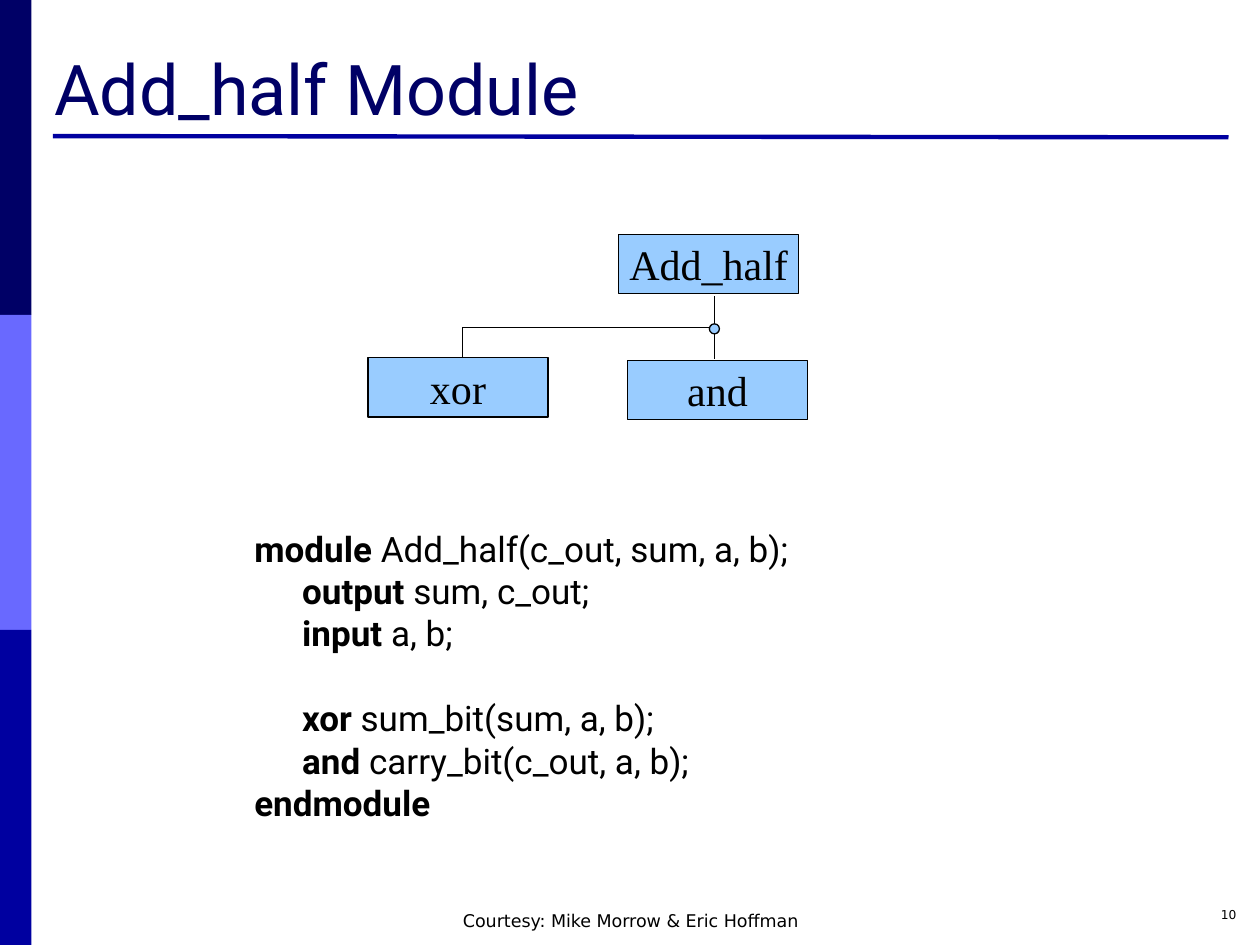
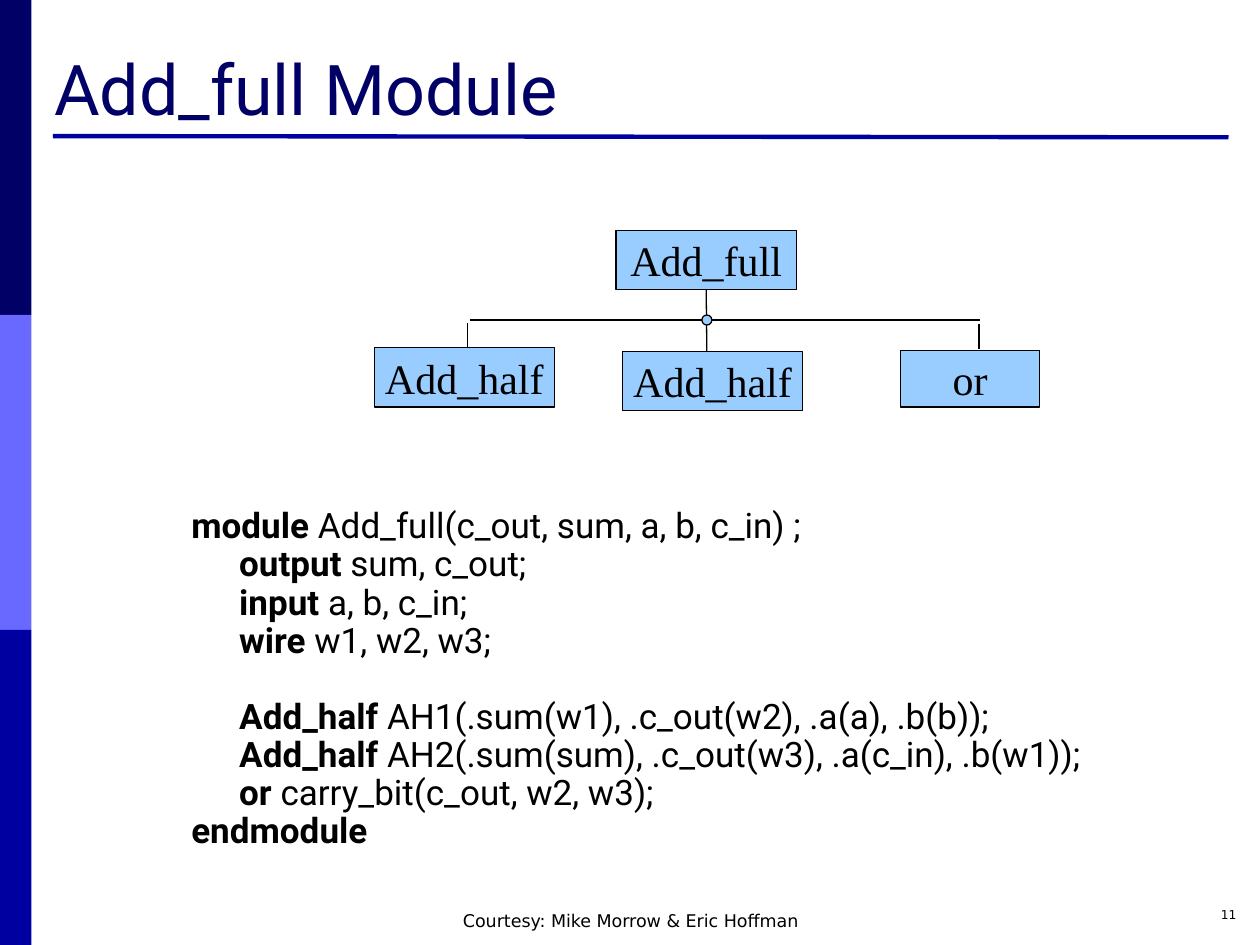
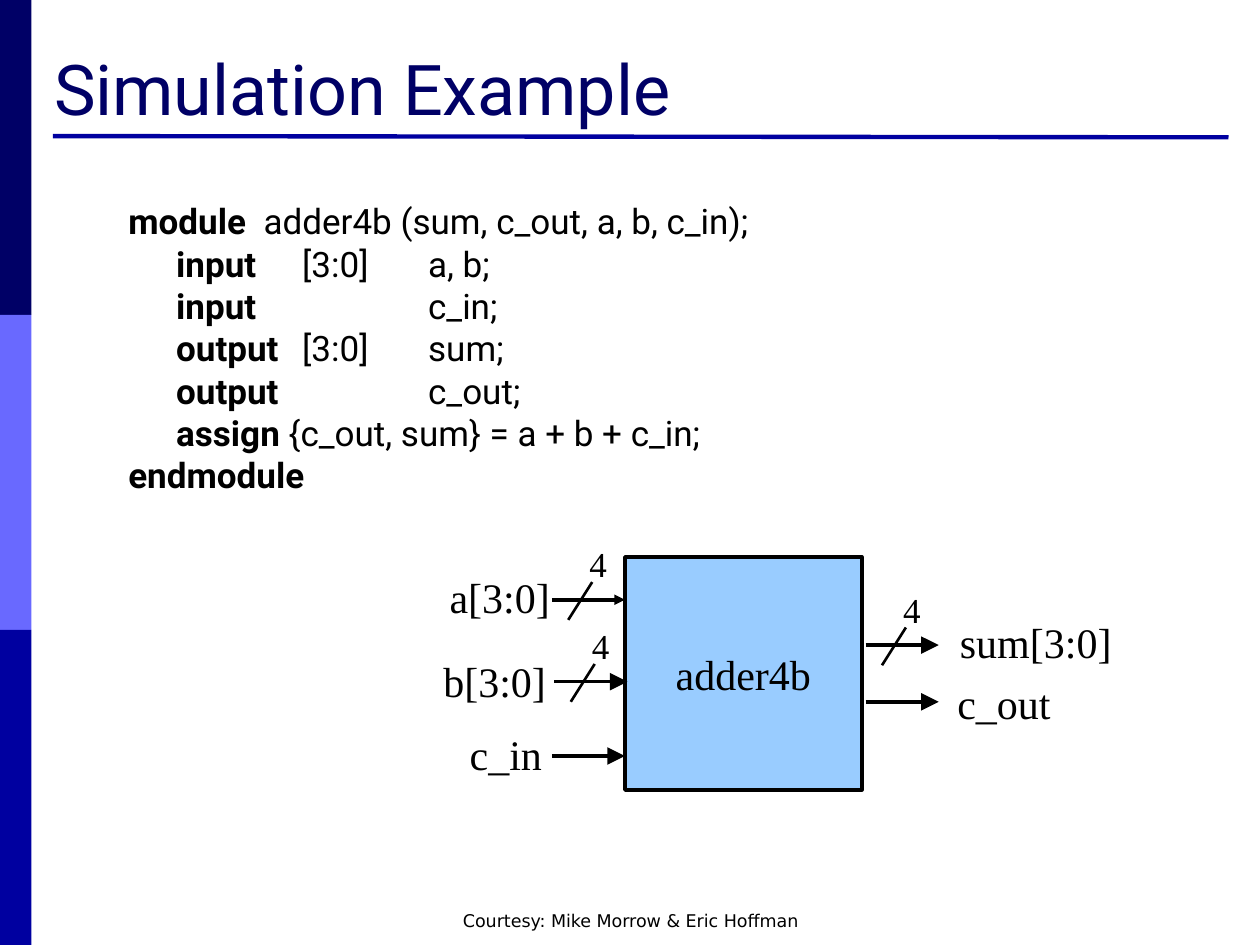
from lxml import etree
from pptx import Presentation
from pptx.dml.color import RGBColor
from pptx.enum import shapes, text
from pptx.oxml import ns
from pptx.util import Inches, Pt

COLORS = {"navy": "000066", "violet": "6969FF", "blue": "0000A0",
          "block": "99CCFF", "ink": "000000"}
SANS, SERIF, SMALL = "Roboto", "Times New Roman", "DejaVu Sans"
LEFT, CENTER, RIGHT = (text.PP_ALIGN.LEFT, text.PP_ALIGN.CENTER, text.PP_ALIGN.RIGHT)
BLOCK_SIZE = (1.43, 0.47)
DOT = 0.08
CODE_SIZE, CODE_GAP, CODE_INDENT = 20, 5, 0.38


def color(name):
    return RGBColor.from_string(COLORS[name])


def style_font(font, face, size, ink="ink", bold=False):
    font.name, font.size, font.bold = face, Pt(size), bold
    font.color.rgb = color(ink)


def fill_text(frame, words, face, size, align=LEFT, ink="ink"):
    frame.text = words
    para = frame.paragraphs[0]
    para.alignment = align
    style_font(para.runs[0].font, face, size, ink)
    return para


def add_figure(page, kind, left, top, width, height, fill, outline=None):
    figure = page.shapes.add_shape(kind, Inches(left), Inches(top),
                                   Inches(width), Inches(height))
    figure.shadow.inherit = False
    figure.fill.solid()
    figure.fill.fore_color.rgb = color(fill)
    if outline:
        figure.line.color.rgb = color("ink")
        figure.line.width = Pt(outline)
    else:
        figure.line.fill.background()
    return figure


def add_block(page, label, left, top, width, height, outline=0.75):
    block = add_figure(page, shapes.MSO_SHAPE.RECTANGLE, left, top, width, height,
                       "block", outline)
    block.text_frame.word_wrap = False
    block.text_frame.vertical_anchor = text.MSO_ANCHOR.MIDDLE
    fill_text(block.text_frame, label, SERIF, 24, CENTER)
    return block


def add_line(page, start, end, width=0.75, ink="ink", head=None):
    line = page.shapes.add_connector(shapes.MSO_CONNECTOR.STRAIGHT,
                                     *(Inches(value) for value in (*start, *end)))
    line.line.color.rgb = color(ink)
    line.line.width = Pt(width)
    if head:
        etree.SubElement(line.line._get_or_add_ln(), ns.qn("a:tailEnd"),
                         type="triangle", w=head, len=head)
    etree.SubElement(line.element.spPr, ns.qn("a:effectLst"))
    return line


def add_text_box(page, left, top, width, height):
    box = page.shapes.add_textbox(Inches(left), Inches(top), Inches(width), Inches(height))
    box.text_frame.word_wrap = True
    return box


def add_label(page, words, left, top, width, height, size=24):
    frame = add_text_box(page, left, top, width, height).text_frame
    frame.margin_right = 0
    fill_text(frame, words, SERIF, size)


def add_page(deck, heading, number=None):
    page = deck.slides.add_slide(deck.slide_layouts[5])
    for row, band in enumerate(("navy", "violet", "blue")):
        add_figure(page, shapes.MSO_SHAPE.RECTANGLE, 0, row * 2.5, 0.25, 2.5, band)
    add_line(page, (0.42, 1.08), (9.75, 1.09), 2.5, "blue")
    title = page.shapes.title
    title.left, title.top = Inches(0.33), Inches(0)
    title.width, title.height = Inches(9.67), Inches(1.08)
    title.text_frame.vertical_anchor = text.MSO_ANCHOR.BOTTOM
    fill_text(title.text_frame, heading, SANS, 40, LEFT, "navy")
    credit = add_text_box(page, 3.42, 7.17, 3.17, 0.25)
    fill_text(credit.text_frame, "Courtesy: Mike Morrow & Eric Hoffman", SMALL, 10, CENTER)
    if number:
        corner = add_text_box(page, 7.58, 7.17, 2.33, 0.25)
        fill_text(corner.text_frame, number, SMALL, 7, RIGHT).line_spacing = 0.8
    return page


def add_code(page, left, top, width, height, sections, spacing):
    frame = add_text_box(page, left, top, width, height).text_frame
    blank_line = CODE_GAP + CODE_SIZE * 1.2 * spacing
    para = None
    for section in sections:
        for row, (keyword, rest) in enumerate(section):
            first = para is None
            para = frame.paragraphs[0] if first else frame.add_paragraph()
            props = para._p.get_or_add_pPr()
            props.set("marL", str(Inches(CODE_INDENT)))
            props.set("indent", str(-Inches(CODE_INDENT)))
            props.set("defTabSz", str(Inches(1)))
            stops = etree.SubElement(props, ns.qn("a:tabLst"))
            for inch in range(8):
                etree.SubElement(stops, ns.qn("a:tab"), pos=str(Inches(inch)), algn="l")
            para.line_spacing = spacing
            if not first:
                para.space_before = Pt(CODE_GAP + (0 if row else blank_line))
            for words, bold in ((keyword, True), (rest, False)):
                if words:
                    span = para.add_run()
                    span.text = words
                    style_font(span.font, SANS, CODE_SIZE, bold=bold)


def add_tree(page, left, top, blocks, wires, joint, joined=False):
    def place(point):
        return left + point[0], top + point[1]

    boxes = [add_block(page, label, *place(corner), *size) for label, corner, size in blocks]
    lines = [add_line(page, place(start), place(end)) for start, end in wires]
    if joined:
        lines[0].begin_connect(boxes[0], 2)
    x, y = place(joint)
    add_figure(page, shapes.MSO_SHAPE.OVAL, x - DOT / 2, y - DOT / 2, DOT, DOT, "block", 0.75)


def add_port(page, left, top, label, label_offset, label_width, head="lg", bus=False):
    add_line(page, (left, top), (left + 0.58, top), 2, head=head)
    add_label(page, label, left + label_offset[0], top + label_offset[1], label_width, 0.5)
    if bus:
        add_line(page, (left + 0.32, top - 0.14), (left + 0.13, top + 0.16), 1.5)
        add_label(page, "4", left + 0.2, top - 0.5, 0.34, 0.44, 20)


def add_adder(page, left, top):
    add_block(page, "adder4b", left, top, 1.88, 1.85, 2)
    ports = [
        (-0.58, 0.34, "a[3:0]", (-0.91, -0.27), 0.99, "med", True),
        (-0.56, 0.99, "b[3:0]", (-0.98, -0.26), 1.01, "lg", True),
        (-0.58, 1.58, "c_in", (-0.75, -0.27), 0.77, "lg", False),
        (1.91, 0.7, "sum[3:0]", (0.65, -0.28), 1.4, "lg", True),
        (1.91, 1.15, "c_out", (0.63, -0.24), 0.94, "lg", False),
    ]
    for x, y, *details in ports:
        add_port(page, left + x, top + y, *details)


def half_adder_page(deck):
    page = add_page(deck, "Add_half Module", "10")
    add_code(page, 1.92, 4.2, 5.5, 2.8, [
        [("module", " Add_half(c_out, sum, a, b);"),
         ("\toutput", " sum, c_out;"),
         ("\tinput", " a, b;")],
        [("\txor", " sum_bit(sum, a, b);"),
         ("\tand", " carry_bit(c_out, a, b);"),
         ("endmodule", "")],
    ], 0.8)
    add_tree(page, 2.92, 1.86, [
        ("Add_half", (1.99, 0), BLOCK_SIZE),
        ("xor", (0, 0.98), BLOCK_SIZE),
        ("and", (2.06, 1), BLOCK_SIZE),
    ], [
        ((2.75, 0.49), (2.75, 0.99)),
        ((0.75, 0.98), (0.75, 0.74)),
        ((2.75, 0.74), (0.75, 0.74)),
    ], (2.75, 0.75))


def full_adder_page(deck):
    page = add_page(deck, "Add_full Module", "11")
    add_code(page, 1.42, 4.04, 7.92, 3.05, [
        [("module", " Add_full(c_out, sum, a, b, c_in) ;"),
         ("\toutput", " sum, c_out;"),
         ("\tinput", " a, b, c_in;"),
         ("\twire", " w1, w2, w3;")],
        [("\tAdd_half", " AH1(.sum(w1), .c_out(w2), .a(a), .b(b));"),
         ("\tAdd_half", " AH2(.sum(sum), .c_out(w3), .a(c_in), .b(w1));"),
         ("\tor", " carry_bit(c_out, w2, w3);"),
         ("endmodule", "")],
    ], 0.7)
    add_tree(page, 2.97, 1.83, [
        ("Add_full", (1.92, 0), BLOCK_SIZE),
        ("Add_half", (0, 0.93), BLOCK_SIZE),
        ("Add_half", (1.97, 0.96), BLOCK_SIZE),
        ("or", (4.18, 0.95), (1.1, 0.45)),
    ], [
        ((2.64, 0.47), (2.64, 0.96)),
        ((0.74, 0.93), (0.74, 0.73)),
        ((4.8, 0.94), (4.8, 0.74)),
        ((0.76, 0.71), (4.81, 0.71)),
    ], (2.64, 0.71), joined=True)


def simulation_page(deck):
    page = add_page(deck, "Simulation Example")
    add_adder(page, 4.96, 4.42)
    add_code(page, 0.92, 1.6, 8.94, 2.6, [
        [("module", "  adder4b (sum, c_out, a, b, c_in);"),
         ("\tinput\t", "[3:0] \ta, b;"),
         ("\tinput\t\t", "c_in;"),
         ("\toutput\t", "[3:0] \tsum;"),
         ("\toutput\t\t", "c_out;"),
         ("\tassign", " {c_out, sum} = a + b + c_in;"),
         ("endmodule", "")],
    ], 0.8)


def main():
    deck = Presentation()
    deck.slide_width, deck.slide_height = Inches(10), Inches(7.5)
    half_adder_page(deck)
    full_adder_page(deck)
    simulation_page(deck)
    deck.save("out.pptx")


if __name__ == "__main__":
    main()
